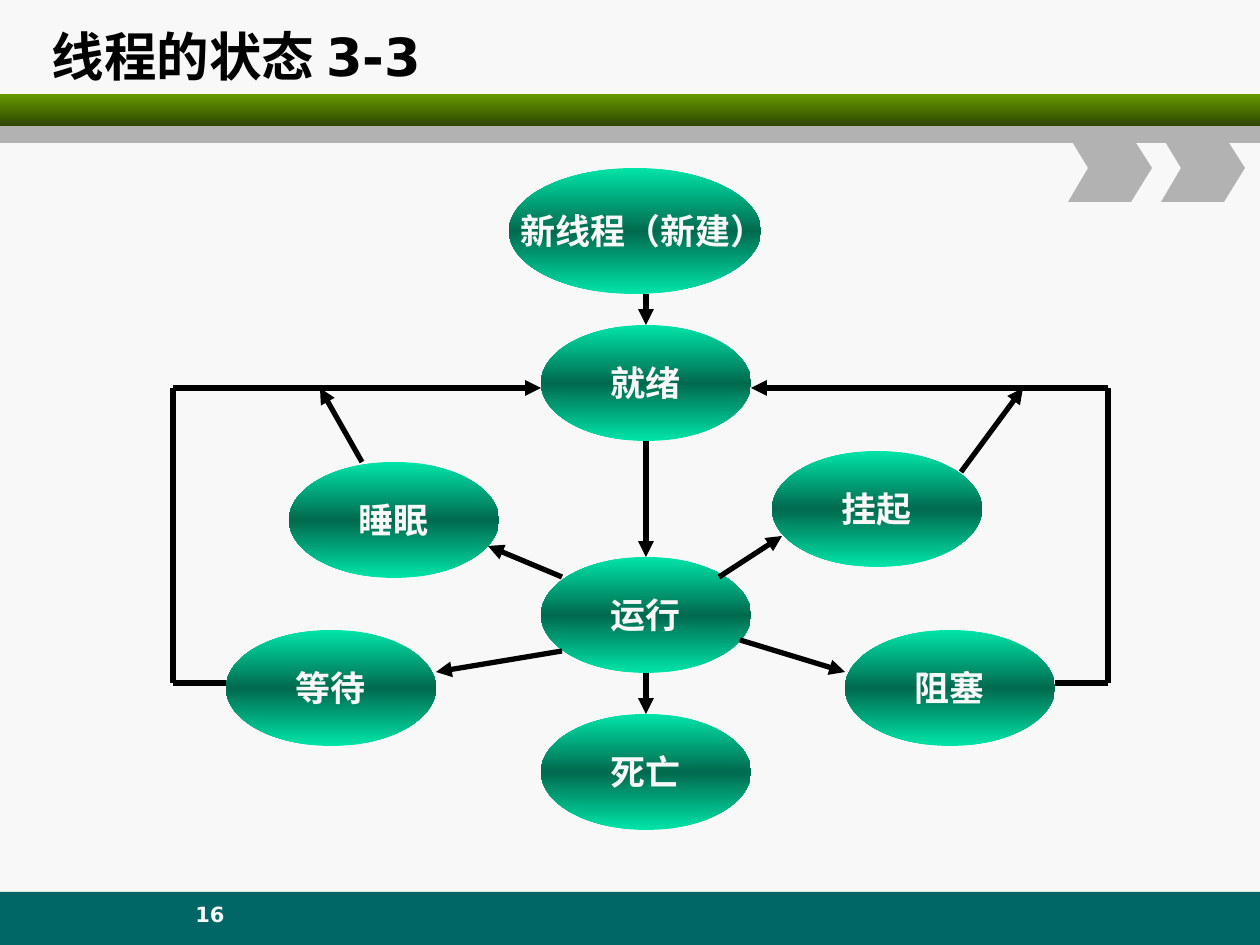
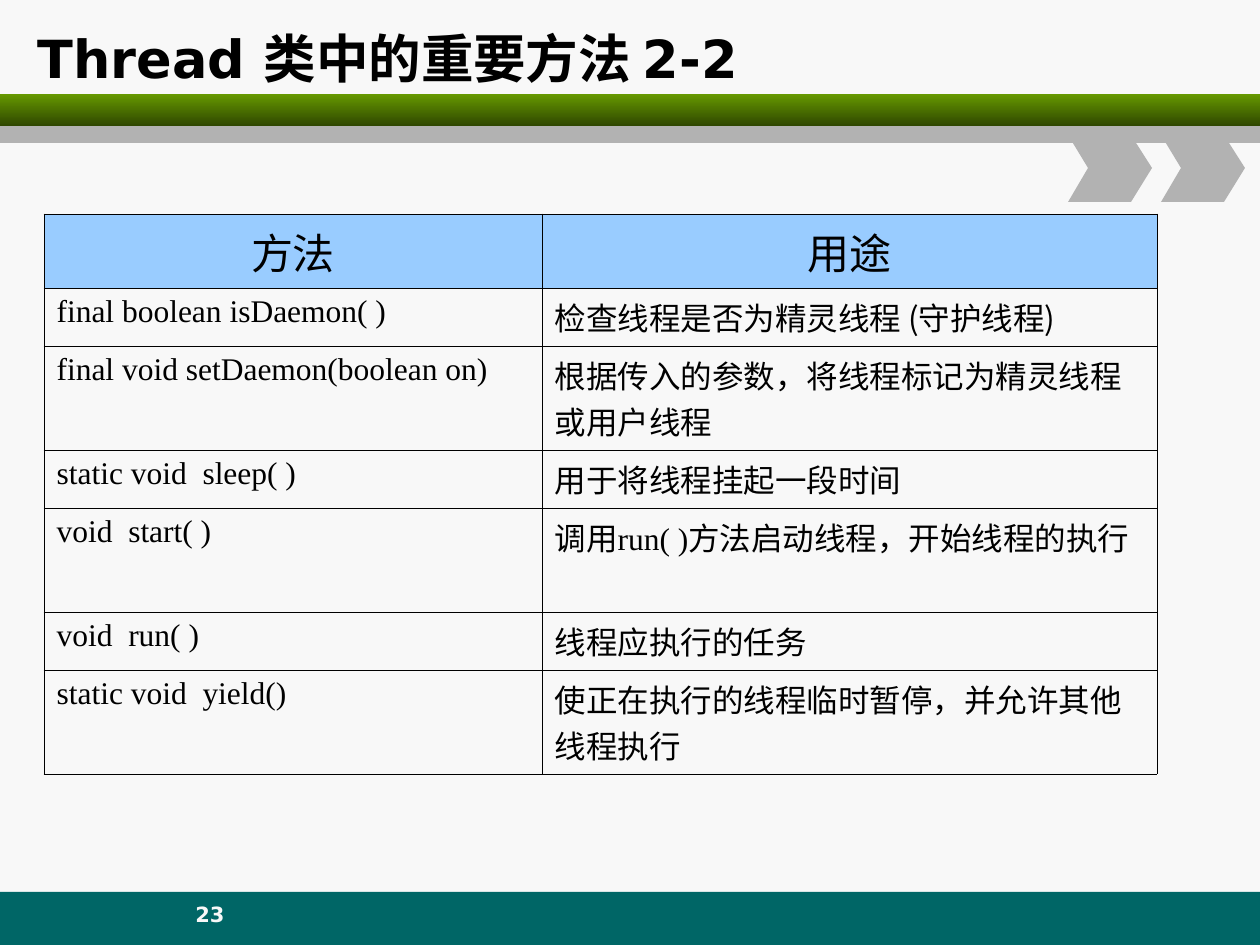
from lxml import etree
from pptx import Presentation
from pptx.dml.color import RGBColor
from pptx.enum.shapes import MSO_CONNECTOR, MSO_SHAPE
from pptx.enum.text import MSO_ANCHOR, MSO_AUTO_SIZE, PP_ALIGN
from pptx.oxml.ns import qn
from pptx.util import Pt

PX = 914400 / 126
SLIDE_W, SLIDE_H = 1260, 945

OVAL, RECT = MSO_SHAPE.OVAL, MSO_SHAPE.RECTANGLE
STRAIGHT = MSO_CONNECTOR.STRAIGHT
LEFT, CENTER = PP_ALIGN.LEFT, PP_ALIGN.CENTER
TOP, MIDDLE = MSO_ANCHOR.TOP, MSO_ANCHOR.MIDDLE
NO_AUTOFIT = MSO_AUTO_SIZE.NONE

PAPER = RGBColor(0xF8, 0xF8, 0xF8)
INK = RGBColor(0x00, 0x00, 0x00)
TEAL = RGBColor(0x00, 0x66, 0x66)
LEAF = RGBColor(0x66, 0x99, 0x00)
MOSS = RGBColor(0x2F, 0x47, 0x00)
SILVER = RGBColor(0xB2, 0xB2, 0xB2)
MINT = RGBColor(0x00, 0xE4, 0xA8)
PINE = RGBColor(0x00, 0x6A, 0x4E)
SKY = RGBColor(0x99, 0xCC, 0xFF)

SANS, MONO, SERIF = "DejaVu Sans", "DejaVu Sans Mono", "Times New Roman"
ARIAL, CJK = "Arial", "Noto Sans CJK SC"

TITLE_FONT = {"name": SANS, "size": Pt(30), "bold": True}
NUMBER_FONT = {"name": SANS, "size": Pt(12), "bold": True}
STATE_FONT = {"name": MONO, "size": Pt(20), "bold": True}
HEADER_FONT = {"name": ARIAL, "size": Pt(24), "bold": False}
BODY_FONT = {"size": Pt(18), "bold": False}

# Thread states: left, top, width, height within the diagram
STATE_SIZE = (210, 116)
STATES = {
    "新线程（新建）": (336, 0, 252, 126),
    "就绪": (368, 157, *STATE_SIZE),
    "运行": (368, 389, *STATE_SIZE),
    "死亡": (368, 546, *STATE_SIZE),
    "睡眠": (116, 294, *STATE_SIZE),
    "挂起": (599, 283, *STATE_SIZE),
    "等待": (53, 462, *STATE_SIZE),
    "阻塞": (672, 462, *STATE_SIZE),
}
# Downward steps: start point and the state entered from above
STEPS = [((473, 126), "就绪"), ((473, 273), "运行"), ((473, 505), "死亡")]
ARROWS = [
    (389, 483, 263, 504), (567, 472, 672, 504),
    (546, 409, 609, 368), (389, 409, 315, 378),
    (189, 294, 147, 220), (788, 304, 850, 220),
    (0, 220, 368, 220), (935, 220, 578, 220),
]
RETURN_LINES = [
    (53, 515, 0, 515), (0, 515, 0, 220),
    (882, 515, 935, 515), (935, 515, 935, 220),
]

# Method, purpose, Latin font of the purpose, row height
METHODS = [
    ("final boolean isDaemon( )", "检查线程是否为精灵线程 (守护线程)", CJK, 58),
    ("final void setDaemon(boolean on)",
     "根据传入的参数，将线程标记为精灵线程或用户线程", CJK, 104),
    ("static void  sleep( )", "用于将线程挂起一段时间", CJK, 58),
    ("void  start( )", "调用run( )方法启动线程，开始线程的执行", SERIF, 104),
    ("void  run( )", "线程应执行的任务", CJK, 58),
    ("static void  yield()", "使正在执行的线程临时暂停，并允许其他线程执行", CJK, 104),
]


def px(*lengths):
    return [round(length * PX) for length in lengths]


def set_values(target, values):
    for name, value in values.items():
        setattr(target, name, value)


def write(frame, text, font, color, align):
    paragraph = frame.paragraphs[0]
    paragraph.alignment = align
    run = paragraph.add_run()
    run.text = text
    set_values(run.font, font)
    run.font.color.rgb = color
    east_asian = etree.SubElement(run.font._element, qn("a:ea"))
    east_asian.set("typeface", CJK)


def fill_down(shape, colors):
    """Fill with evenly spaced colours from top to bottom."""
    shape.fill.gradient()
    shape.fill.gradient_angle = 270
    stops = shape._element.spPr.find(".//" + qn("a:gsLst"))
    for stop in list(stops):
        stops.remove(stop)
    for i, color in enumerate(colors):
        stop = etree.SubElement(stops, qn("a:gs"))
        stop.set("pos", str(100000 * i // (len(colors) - 1)))
        etree.SubElement(stop, qn("a:srgbClr")).set("val", str(color))


def finish(shape, *colors):
    shape.shadow.inherit = False
    shape.line.fill.background()
    if len(colors) > 1:
        fill_down(shape, colors)
    else:
        shape.fill.solid()
        shape.fill.fore_color.rgb = colors[0]


def add_line(slide, start, end, arrow):
    line = slide.shapes.add_connector(STRAIGHT, *px(*start, *end))
    line.line.color.rgb = INK
    line.line.width = Pt(3)
    if arrow:
        stroke = line.line._get_or_add_ln()
        etree.SubElement(stroke, qn("a:tailEnd")).set("type", "triangle")
    etree.SubElement(line._element.spPr, qn("a:effectLst"))
    return line


def add_chevron(slide, left, top):
    corners = [(63, 0), (84, 33), (63, 67), (0, 67), (20, 33)]
    outline = slide.shapes.build_freeform(left, top, scale=PX)
    outline.add_line_segments([(left + x, top + y) for x, y in corners])
    finish(outline.convert_to_shape(), SILVER)


def add_frame(prs, title_box, title, number):
    """Start a slide with its bands, chevrons, page number and title."""
    slide = prs.slides.add_slide(prs.slide_layouts[5])
    bands = [(892, 53, [TEAL]), (94, 32, [LEAF, MOSS]), (126, 17, [SILVER])]
    for top, height, colors in bands:
        band = slide.shapes.add_shape(RECT, *px(0, top, SLIDE_W, height))
        finish(band, *colors)
    for left in (1068, 1161):
        add_chevron(slide, left, 135)

    # Page number
    page = slide.shapes.add_textbox(*px(63, 895, 294, 50)).text_frame
    page.word_wrap = True
    write(page, number, NUMBER_FONT, PAPER, CENTER)

    # Title
    heading = slide.shapes.title
    set_values(heading, dict(zip(("left", "top", "width", "height"), px(*title_box))))
    set_values(heading.text_frame, {
        "auto_size": NO_AUTOFIT, "vertical_anchor": MIDDLE, "word_wrap": True})
    write(heading.text_frame, title, TITLE_FONT, INK, LEFT)
    return slide


def add_state_diagram(slide, box_left, box_top):
    ovals = {}
    for state, (left, top, width, height) in STATES.items():
        oval = slide.shapes.add_shape(
            OVAL, *px(box_left + left, box_top + top, width, height))
        finish(oval, MINT, PINE, MINT)
        set_values(oval.text_frame, {"word_wrap": False, "vertical_anchor": MIDDLE})
        write(oval.text_frame, state, STATE_FONT, PAPER, CENTER)
        ovals[state] = oval
    # The long label sits a little right of centre
    ovals["新线程（新建）"].text_frame.margin_left = px(29)[0]

    for (x, y), state in STEPS:
        start = (box_left + x, box_top + y)
        add_line(slide, start, start, True).end_connect(ovals[state], 0)
    for routes, arrow in ((ARROWS, True), (RETURN_LINES, False)):
        for x1, y1, x2, y2 in routes:
            add_line(slide, (box_left + x1, box_top + y1),
                     (box_left + x2, box_top + y2), arrow)


def set_cell(cell, text, font, align, color=None):
    for side in ("a:lnL", "a:lnR", "a:lnT", "a:lnB"):
        border = etree.SubElement(cell._tc.get_or_add_tcPr(), qn(side))
        border.set("w", str(Pt(0.45)))
        paint = etree.SubElement(border, qn("a:solidFill"))
        etree.SubElement(paint, qn("a:srgbClr")).set("val", str(INK))
    if color is None:
        cell.fill.background()
    else:
        cell.fill.solid()
        cell.fill.fore_color.rgb = color
    cell.vertical_anchor = TOP
    write(cell.text_frame, text, font, INK, align)


def add_method_table(slide, left, top, column_widths):
    heights = [74] + [height for *_, height in METHODS]
    table = slide.shapes.add_table(
        len(heights), len(column_widths),
        *px(left, top, sum(column_widths), sum(heights))).table
    set_values(table, {"first_row": False, "horz_banding": False})
    for column, width in zip(table.columns, px(*column_widths)):
        column.width = width
    for row, height in zip(table.rows, px(*heights)):
        row.height = height

    for column, label in enumerate(("方法", "用途")):
        set_cell(table.cell(0, column), label, HEADER_FONT, CENTER, SKY)
    for row, (method, purpose, latin, _) in enumerate(METHODS, 1):
        set_cell(table.cell(row, 0), method, {**BODY_FONT, "name": SERIF}, LEFT)
        set_cell(table.cell(row, 1), purpose, {**BODY_FONT, "name": latin}, LEFT)


def main():
    prs = Presentation()
    prs.slide_width, prs.slide_height = px(SLIDE_W, SLIDE_H)
    backdrop = prs.slide_master.background.fill
    backdrop.solid()
    backdrop.fore_color.rgb = PAPER

    states = add_frame(prs, (39, 13, 1134, 86), "线程的状态 3-3", "16")
    add_state_diagram(states, 173, 168)

    methods = add_frame(prs, (25, 16, 1203, 84), "Thread 类中的重要方法 2-2", "23")
    add_method_table(methods, 44, 214, (498, 615))

    prs.save("out.pptx")


if __name__ == "__main__":
    main()
